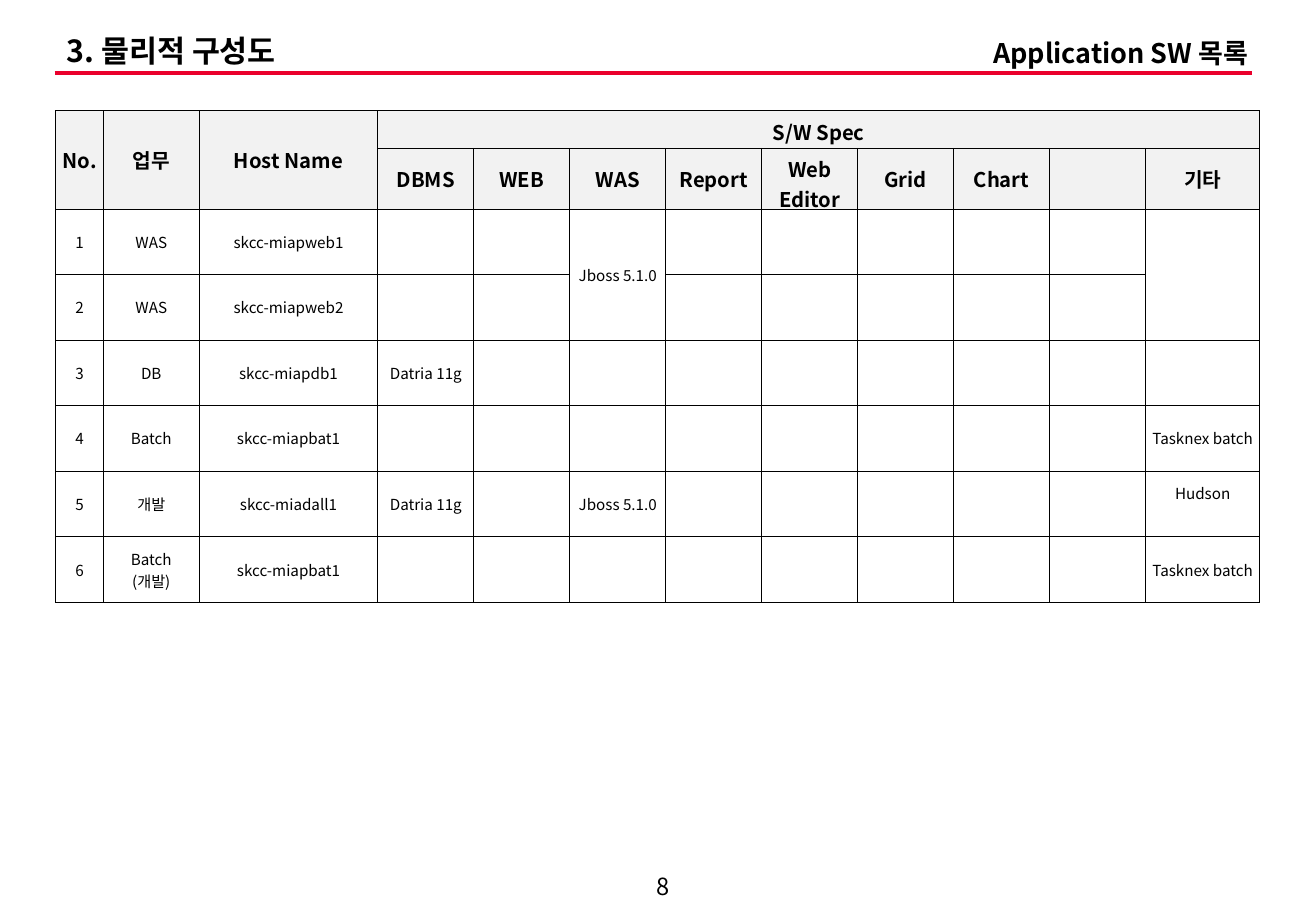
import pptx
import pptx.dml.color
import pptx.enum.shapes
import pptx.enum.text
import pptx.oxml.ns
import pptx.util
from lxml import etree

Inches = pptx.util.Inches
Pt = pptx.util.Pt
RGBColor = pptx.dml.color.RGBColor
Align = pptx.enum.text.PP_ALIGN
Anchor = pptx.enum.text.MSO_ANCHOR
qn = pptx.oxml.ns.qn

BLACK = RGBColor(0x00, 0x00, 0x00)
WHITE = RGBColor(0xFF, 0xFF, 0xFF)
GREY = RGBColor(0xF2, 0xF2, 0xF2)
RED = RGBColor(0xEA, 0x00, 0x2C)

WIDTHS = [0.39, 0.79, 1.47] + [0.79] * 8 + [0.94]
HEIGHTS = [0.31, 0.39] + [0.54] * 6
HEADS = 2
MERGES = [(0, 0, 1, 0), (0, 1, 1, 1), (0, 2, 1, 2), (0, 3, 0, 11),
          (2, 5, 3, 5), (2, 11, 3, 11)]
CELLS = [
    {0: "No.", 1: "업무", 2: "Host Name", 3: "S/W Spec"},
    {3: "DBMS", 4: "WEB", 5: "WAS", 6: "Report", 7: "Web Editor",
     8: "Grid", 9: "Chart", 11: "기타"},
    {0: "1", 1: "WAS", 2: "skcc-miapweb1", 5: "Jboss 5.1.0"},
    {0: "2", 1: "WAS", 2: "skcc-miapweb2"},
    {0: "3", 1: "DB", 2: "skcc-miapdb1", 3: "Datria 11g"},
    {0: "4", 1: "Batch", 2: "skcc-miapbat1", 11: "Tasknex batch"},
    {0: "5", 1: "개발", 2: "skcc-miadall1", 3: "Datria 11g",
     5: "Jboss 5.1.0", 11: "Hudson"},
    {0: "6", 1: "Batch\n(개발)", 2: "skcc-miapbat1", 11: "Tasknex batch"},
]


class Deck:
    """Holds the style and the current slide."""

    font = "Noto Sans CJK KR"

    def __init__(self, width, height):
        self.show = pptx.Presentation()
        self.show.slide_width = Inches(width)
        self.show.slide_height = Inches(height)
        self.slide = self.show.slides.add_slide(self.show.slide_layouts[6])

    def label(self, frame, text, size, bold, align):
        frame.text = text
        for para in frame.paragraphs:
            para.alignment = align
            for run in para.runs:
                run.font.size = Pt(size)
                run.font.bold = bold
                run.font.name = self.font
                run.font.color.rgb = BLACK
                east = etree.SubElement(run._r.get_or_add_rPr(), qn("a:ea"))
                east.set("typeface", self.font)

    def text(self, box, text, size, bold=False, align=Align.LEFT,
             anchor=Anchor.MIDDLE, grow=False):
        frame = self.slide.shapes.add_textbox(*map(Inches, box)).text_frame
        frame.word_wrap = True
        frame.vertical_anchor = anchor
        if grow:
            frame.auto_size = pptx.enum.text.MSO_AUTO_SIZE.SHAPE_TO_FIT_TEXT
        self.label(frame, text, size, bold, align)
        return frame

    def line(self, start, end, color, width):
        line = self.slide.shapes.add_connector(
            pptx.enum.shapes.MSO_CONNECTOR.STRAIGHT,
            *map(Inches, start + end))
        line.line.color.rgb = color
        line.line.width = Pt(width)
        etree.SubElement(line._element.spPr, qn("a:effectLst"))

    def edge(self, cell, color, width):
        props = cell._tc.get_or_add_tcPr()
        for side in ("lnL", "lnR", "lnT", "lnB"):
            line = etree.SubElement(props, qn("a:" + side), w=str(Pt(width)))
            fill = etree.SubElement(line, qn("a:solidFill"))
            etree.SubElement(fill, qn("a:srgbClr"), val=str(color))

    def table(self, left, top):
        table = self.slide.shapes.add_table(
            len(HEIGHTS), len(WIDTHS), Inches(left), Inches(top),
            Inches(sum(WIDTHS)), Inches(sum(HEIGHTS))).table
        table.first_row = table.horz_banding = False
        for col, width in zip(table.columns, WIDTHS):
            col.width = Inches(width)
        for r, (row, height) in enumerate(zip(table.rows, HEIGHTS)):
            row.height = Inches(height)
            head = r < HEADS
            for c, cell in enumerate(row.cells):
                self.edge(cell, BLACK, 0.5)
                cell.fill.solid()
                cell.fill.fore_color.rgb = GREY if head else WHITE
                cell.margin_left = cell.margin_right = 0
                cell.margin_top = cell.margin_bottom = Inches(0.05)
                cell.vertical_anchor = Anchor.MIDDLE
                self.label(cell.text_frame, CELLS[r].get(c, ""),
                           12 if head else 9, head, Align.CENTER)
        for first, start, last, end in MERGES:
            table.cell(first, start).merge(table.cell(last, end))
        return table


def main():
    deck = Deck(10.83, 7.5)
    deck.text((5.1, 7.14, 0.71, 0.31), "8", 14, align=Align.CENTER)
    deck.line((0.45, 0.6), (10.3, 0.6), RED, 2.25)
    table = deck.table(0.46, 0.91)
    table.cell(6, 11).margin_bottom = Inches(0.23)
    title = deck.text((0.45, 0.25, 9.53, 0.37), "3. 물리적 구성도", 18, True,
                      grow=True)
    title.paragraphs[0].line_spacing = 0.9
    deck.text((7.63, 0.25, 2.74, 0.37), "Application SW 목록", 16, True,
              Align.RIGHT, Anchor.TOP, True)
    deck.show.save("out.pptx")


if __name__ == "__main__":
    main()
